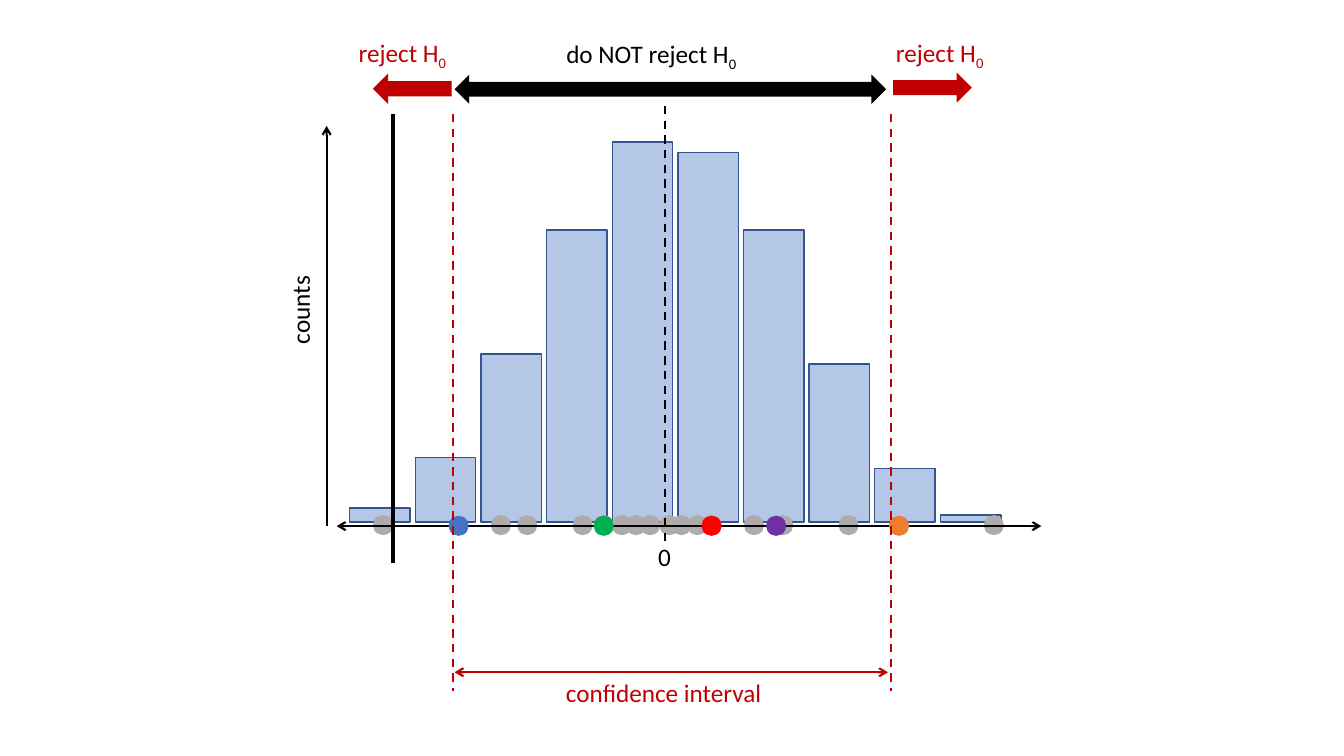
from dataclasses import dataclass
from typing import Optional

from lxml.etree import SubElement
from pptx import Presentation
from pptx.dml.color import RGBColor
from pptx.enum.dml import MSO_LINE_DASH_STYLE as Dash
from pptx.enum.shapes import MSO_CONNECTOR as Connector
from pptx.enum.shapes import MSO_SHAPE as Preset
from pptx.enum.text import MSO_AUTO_SIZE as AutoSize
from pptx.enum.text import PP_ALIGN as Align
from pptx.oxml.ns import qn
from pptx.util import Pt


@dataclass(frozen=True)
class Theme:
    font: str = "Calibri"
    text_size: float = 18
    thin: float = 1
    medium: float = 1.5
    thick: float = 3
    black: str = "000000"
    reject: str = "C00000"
    bar_fill: str = "B4C7E7"
    bar_line: str = "325491"
    gray: str = "AFABAB"
    green: str = "00B050"
    purple: str = "7030A0"
    red: str = "FF0000"
    blue: str = "4472C4"
    orange: str = "ED7D31"


THEME = Theme()


@dataclass(frozen=True)
class Block:
    preset: Preset
    left: float
    top: float
    width: float
    height: float
    fill: str
    outline: Optional[str] = None


@dataclass(frozen=True)
class Line:
    start: tuple[float, float]
    end: tuple[float, float]
    color: str = THEME.black
    weight: float = THEME.medium
    dashed: bool = False
    head: bool = False
    tail: bool = False


@dataclass(frozen=True)
class Label:
    text: str
    left: float
    top: float
    width: float
    color: str = THEME.black
    subscript: str = ""
    rotation: float = 0
    centered: bool = False


BAR_LEFT, BAR_PITCH, BAR_WIDTH, BAR_BASE = 249.8, 46.88, 43.2, 373
BAR_HEIGHTS = [10.1, 46.1, 120.2, 208.8, 271.4, 264.2, 208.8, 113, 38.2, 5]
DOT_SIZE, GRAY_TOP, COLORED_TOP = 14.4, 367.9, 368.4
GRAY_LEFTS = [266.4, 350.6, 369.4, 409, 424.1, 437, 447.1, 457.2,
              470.9, 479.5, 491, 501.1, 531.4, 552.2, 599, 702.7]
COLORED_DOTS = [(424.1, THEME.green), (547.2, THEME.purple), (501.1, THEME.red),
                (320.4, THEME.blue), (635, THEME.orange)]
AXIS_Y, COUNTS_X, ZERO_X, OBSERVED_X = 375.8, 233.3, 475.2, 280.8
LOWER_LIMIT, UPPER_LIMIT = 323.3, 636.5
LIMIT_TOP, LIMIT_BOTTOM, INTERVAL_Y = 81.4, 493.9, 480.2
LABEL_HEIGHT = 28.8

BARS = [
    Block(Preset.RECTANGLE, BAR_LEFT + index * BAR_PITCH, BAR_BASE - height,
          BAR_WIDTH, height, THEME.bar_fill, THEME.bar_line)
    for index, height in enumerate(BAR_HEIGHTS)
]
GRAY_DOTS = [Block(Preset.OVAL, left, GRAY_TOP, DOT_SIZE, DOT_SIZE, THEME.gray)
             for left in GRAY_LEFTS]
SAMPLE_DOTS = [Block(Preset.OVAL, left, COLORED_TOP, DOT_SIZE, DOT_SIZE, color)
               for left, color in COLORED_DOTS]
VALUE_AXIS = Line((240.5, AXIS_Y), (743.8, AXIS_Y), head=True, tail=True)
COUNTS_AXIS = Line((COUNTS_X, AXIS_Y), (COUNTS_X, 90), tail=True)
LIMITS = [Line((x, LIMIT_TOP), (x, LIMIT_BOTTOM), THEME.reject, dashed=True)
          for x in (UPPER_LIMIT, LOWER_LIMIT)]
INTERVAL = Line((324.7, INTERVAL_Y), (634.3, INTERVAL_Y), THEME.reject,
                head=True, tail=True)
DECISION_ARROWS = [
    Block(Preset.LEFT_RIGHT_ARROW, 324.7, 53.3, 308.2, 20.9, THEME.black),
    Block(Preset.LEFT_ARROW, 266.4, 52.6, 56.2, 21.6, THEME.reject),
    Block(Preset.RIGHT_ARROW, 637.9, 51.8, 56.2, 21.6, THEME.reject),
]
OBSERVED = Line((OBSERVED_X, LIMIT_TOP), (OBSERVED_X, 402.5), weight=THEME.thick)
ZERO = Line((ZERO_X, 75.6), (ZERO_X, 389.5), dashed=True)
LABELS = [
    Label("counts", 182.2, 206.6, 64.1, rotation=270),
    Label("confidence interval", 378, INTERVAL_Y, 192.2, THEME.reject, centered=True),
    Label("do NOT reject H", 397.4, 23.8, 138.2, subscript="0"),
    Label("reject H", 632.9, 23, 78.5, THEME.reject, "0"),
    Label("reject H", 249.1, 23, 78.5, THEME.reject, "0"),
    Label("0", 463, 383, 23.8),
]


def draw_block(slide, block: Block) -> None:
    shape = slide.shapes.add_shape(block.preset, Pt(block.left), Pt(block.top),
                                   Pt(block.width), Pt(block.height))
    shape.shadow.inherit = False
    shape.fill.solid()
    shape.fill.fore_color.rgb = RGBColor.from_string(block.fill)
    if block.outline:
        shape.line.color.rgb = RGBColor.from_string(block.outline)
        shape.line.width = Pt(THEME.thin)
    else:
        shape.line.fill.background()


def draw_line(slide, line: Line) -> None:
    connector = slide.shapes.add_connector(
        Connector.STRAIGHT, *(Pt(value) for value in line.start + line.end))
    connector.line.color.rgb = RGBColor.from_string(line.color)
    connector.line.width = Pt(line.weight)
    if line.dashed:
        connector.line.dash_style = Dash.DASH
    properties = connector.element.spPr
    outline = properties.find(qn("a:ln"))
    for tag, shown in (("a:headEnd", line.head), ("a:tailEnd", line.tail)):
        if shown:
            SubElement(outline, qn(tag), type="arrow")
    SubElement(properties, qn("a:effectLst"))


def draw_label(slide, label: Label) -> None:
    box = slide.shapes.add_textbox(Pt(label.left), Pt(label.top),
                                   Pt(label.width), Pt(LABEL_HEIGHT))
    box.rotation = label.rotation
    frame = box.text_frame
    frame.text = label.text
    frame.word_wrap = label.centered
    frame.auto_size = AutoSize.SHAPE_TO_FIT_TEXT
    paragraph = frame.paragraphs[0]
    if label.centered:
        paragraph.alignment = Align.CENTER
    if label.subscript:
        paragraph.add_run().text = label.subscript
    for run in paragraph.runs:
        run.font.name = THEME.font
        run.font.size = Pt(THEME.text_size)
        run.font.color.rgb = RGBColor.from_string(label.color)
    if label.subscript:
        list(box.element.iter(qn("a:rPr")))[-1].set("baseline", "-25000")


def main() -> None:
    presentation = Presentation()
    presentation.slide_width = Pt(960)
    presentation.slide_height = Pt(540)
    slide = presentation.slides.add_slide(presentation.slide_layouts[6])
    for block in BARS + GRAY_DOTS:
        draw_block(slide, block)
    draw_line(slide, VALUE_AXIS)
    for block in SAMPLE_DOTS + DECISION_ARROWS:
        draw_block(slide, block)
    for line in [COUNTS_AXIS, *LIMITS, INTERVAL, OBSERVED, ZERO]:
        draw_line(slide, line)
    for label in LABELS:
        draw_label(slide, label)
    presentation.save("out.pptx")


if __name__ == "__main__":
    main()
